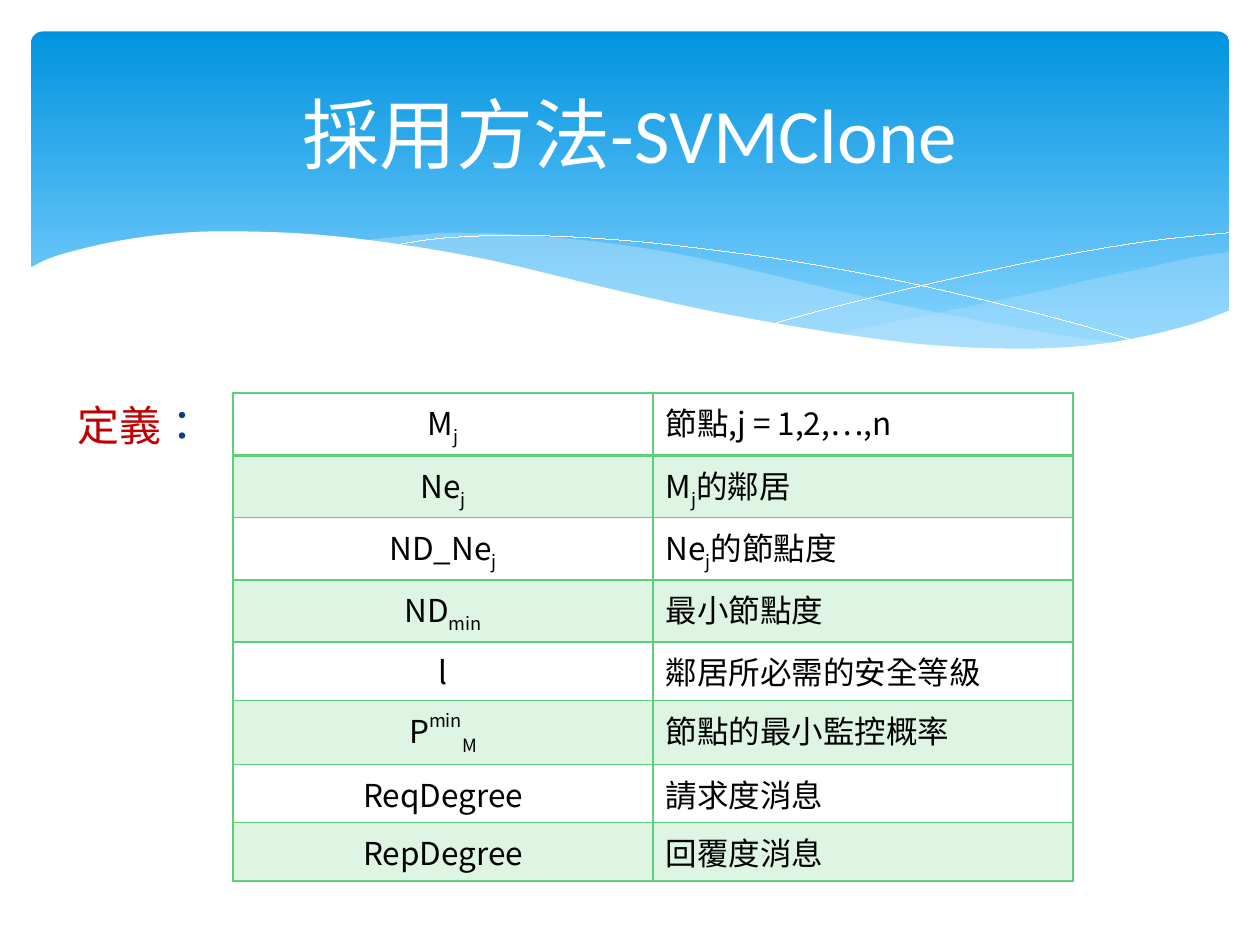
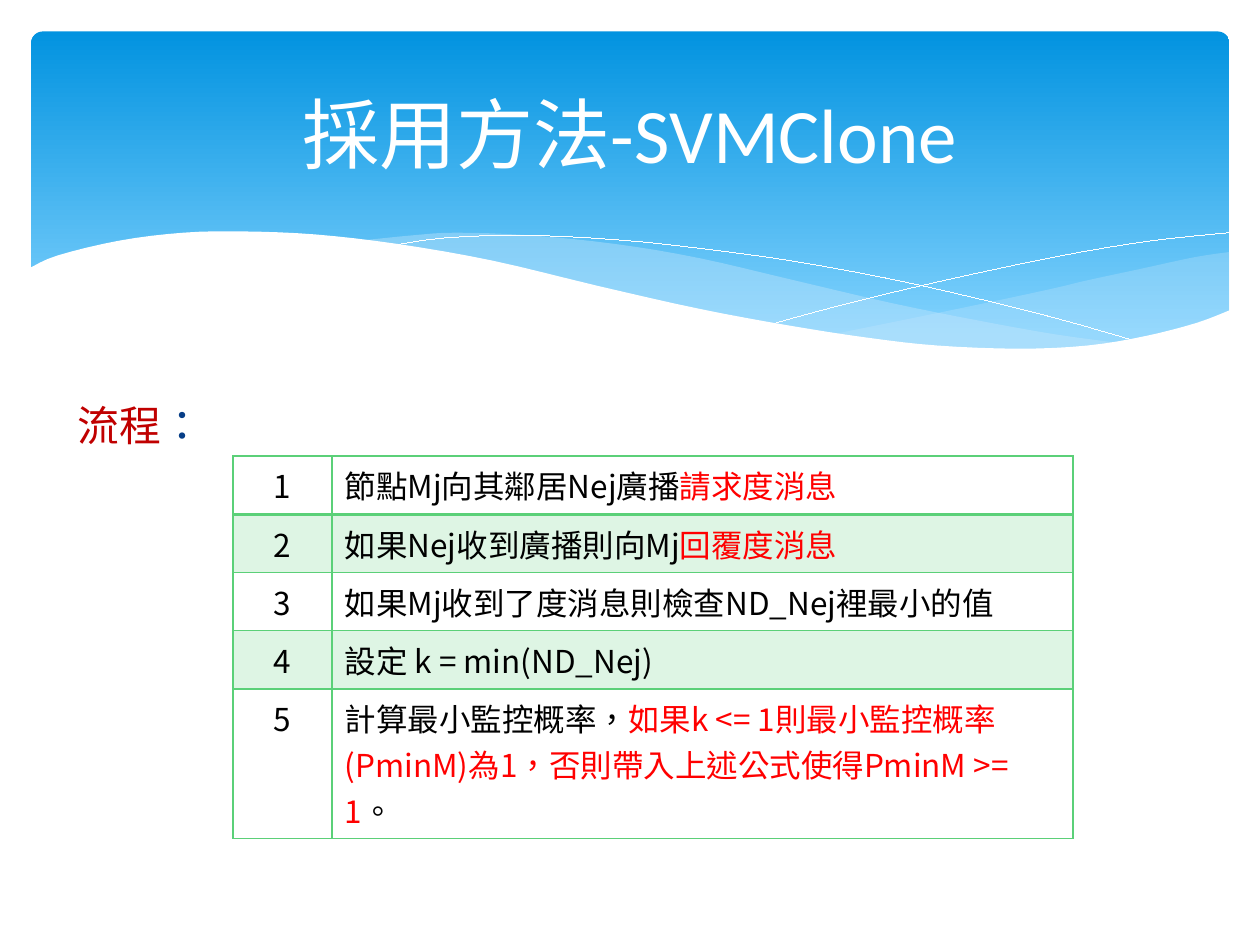
"""Build two slides on the SVMClone method: its definitions and its procedure."""
import lxml.etree
import pptx
import pptx.dml.color
import pptx.enum.shapes
import pptx.enum.text
import pptx.oxml
import pptx.oxml.ns
import pptx.util

Pt = pptx.util.Pt
RGBColor = pptx.dml.color.RGBColor
ALIGN = pptx.enum.text.PP_ALIGN
ANCHOR = pptx.enum.text.MSO_ANCHOR
qn = pptx.oxml.ns.qn

BAND_TOP = RGBColor(0x02, 0x93, 0xE0)
BAND_BOTTOM = RGBColor(0x83, 0xD3, 0xFE)
SWELL = RGBColor(0xC6, 0xE7, 0xFC)
WHITE = RGBColor(0xFF, 0xFF, 0xFF)
BLACK = RGBColor(0, 0, 0)
GREEN = RGBColor(0x5B, 0xD0, 0x78)
DARK_RED = RGBColor(0xC0, 0, 0)
RED = RGBColor(0xFF, 0, 0)
NAVY = RGBColor(0x07, 0x3E, 0x87)

LATIN_FONT = "Calibri"
CJK_FONT = "Noto Sans CJK SC"
TITLE = "採用方法-SVMClone"
TABLE_LEFT = 133.2
PLAIN_ROW = 33.3
SUBSCRIPT_ROW = 35.6
SUPERSCRIPT_ROW = 36.7
THREE_LINE_ROW = 85.3

RIGHT_SWELL_TOP = [(476, 191), (542.5, 177.5), (599, 165.5), (620, 160.5),
                   (652.5, 153.5), (682.5, 147), (702.5, 144)]
RIGHT_SWELL_BOTTOM = [(702.5, 178), (683.5, 185), (663, 191), (634, 196.5),
                      (601, 199.5), (562, 199.5), (527, 197.5), (476, 191)]
LONG_SWELL_TOP = [(206, 137.5), (236, 134.5), (260, 133), (302.5, 134.5),
                  (352, 139.5), (399.5, 147.5), (453, 160), (508.5, 173),
                  (558, 183), (602.5, 191), (643, 196.5)]
LONG_SWELL_BOTTOM = [(643, 196.5), (610, 199.5), (565, 200), (520, 197),
                     (468, 190), (420.5, 181), (353.5, 167), (307.5, 155.5),
                     (260.5, 146), (219, 139.5), (206, 137.5)]
FALLING_LINE = [(222.5, 140.5), (254, 136), (299.5, 134.5), (352, 137),
                (400.5, 142), (458, 150), (523.5, 162.5), (598.5, 180.5),
                (653, 196)]
RISING_LINE = [(441.5, 185), (484, 173.5), (538.5, 160.5), (602, 147),
               (655, 138), (702, 133)]
WHITE_WAVE = [(16.5, 153.5), (33, 146), (68.5, 137.5), (105, 133),
              (139, 132.3), (180, 134), (227.5, 139.5), (281.5, 149),
              (342, 163.5), (399.5, 176.5), (450.5, 186), (495.5, 193),
              (535.5, 197.5), (582.5, 199.3), (621.5, 197.5), (655, 192),
              (684, 184.5), (703.5, 177)]
WAVE_FOOT = [(703.5, 237), (16.5, 237)]


def span(text, color=BLACK, base=0):
    """Describe a stretch of text; base is its shift in percent."""
    return text, color, base


def sub(text):
    """Describe a subscript."""
    return span(text, base=-25)


DEFINITIONS = [
    ([span("M"), sub("j")], [span("節點,j = 1,2,…,n")]),
    ([span("Ne"), sub("j")], [span("M"), sub("j"), span("的鄰居")]),
    ([span("ND_Ne"), sub("j")], [span("Ne"), sub("j"), span("的節點度")]),
    ([span("ND"), sub("min")], [span("最小節點度")]),
    ([span("l")], [span("鄰居所必需的安全等級")]),
    ([span("P"), span("min", base=50), span("M", base=-30)],
     [span("節點的最小監控概率")]),
    ([span("ReqDegree")], [span("請求度消息")]),
    ([span("RepDegree")], [span("回覆度消息")]),
]
DEFINITION_HEIGHTS = [SUBSCRIPT_ROW] * 4 + [PLAIN_ROW, SUPERSCRIPT_ROW] + [PLAIN_ROW] * 2
STEPS = [
    [span("節點Mj向其鄰居Nej廣播"), span("請求度消息", RED)],
    [span("如果Nej收到廣播則向Mj"), span("回覆度消息", RED)],
    [span("如果Mj收到了度消息則檢查ND_Nej裡最小的值")],
    [span("設定 k = min(ND_Nej)")],
    [span("計算最小監控概率，"),
     span("如果k <= 1則最小監控概率(PminM)為1，否則帶入上述公式使得PminM >= 1", RED),
     span("。")],
]
STEP_HEIGHTS = [PLAIN_ROW] * 4 + [THREE_LINE_ROW]


def write(para, spans, size, font, align=ALIGN.LEFT):
    """Write spans into a paragraph."""
    para.alignment = align
    for text, color, base in spans:
        run = para.add_run()
        run.text = text
        run.font.size = Pt(size)
        run.font.name = font
        run.font.color.rgb = color
        properties = run.font._element
        properties.set("lang", "zh-TW")
        if base:
            properties.set("baseline", str(base * 1000))
        east_asian = lxml.etree.SubElement(properties, qn("a:ea"))
        east_asian.set("typeface", CJK_FONT)


def fill_solid(fill, color, holder, opacity=100):
    """Fill with a colour, see-through when opacity is below 100 percent."""
    fill.solid()
    fill.fore_color.rgb = color
    if opacity < 100:
        shade = holder.find(".//" + qn("a:solidFill") + "/" + qn("a:srgbClr"))
        alpha = lxml.etree.SubElement(shade, qn("a:alpha"))
        alpha.set("val", str(opacity * 1000))


def smooth(knots, steps=4):
    """Return points on a Catmull-Rom curve through the knots."""
    padded = [knots[0], *knots, knots[-1]]
    points = [knots[0]]
    for a, b, c, d in zip(padded, padded[1:], padded[2:], padded[3:]):
        for step in range(1, steps + 1):
            t = step / steps
            points.append(tuple(
                (2 * q + (r - p) * t + (2 * p - 5 * q + 4 * r - s) * t ** 2
                 + (3 * q - p - 3 * r + s) * t ** 3) / 2
                for p, q, r, s in zip(a, b, c, d)))
    return points


def add_outline(page, points, close):
    """Add a freeform through points and return it without a shadow."""
    units = [(round(x * 100), round(y * 100)) for x, y in points]
    builder = page.shapes.build_freeform(*units[0], scale=Pt(1) / 100)
    builder.add_line_segments(units[1:], close=close)
    outline = builder.convert_to_shape()
    outline.shadow.inherit = False
    return outline


def add_area(page, points, color, opacity=100):
    """Add a filled outline without a border."""
    area = add_outline(page, points, True)
    fill_solid(area.fill, color, area.element.spPr, opacity)
    area.line.fill.background()


def add_hairline(page, knots):
    """Add a thin white curve."""
    curve = add_outline(page, smooth(knots), False)
    curve.fill.background()
    curve.line.color.rgb = WHITE
    curve.line.width = Pt(0.01)


def add_band(page):
    """Add the blue header band with its waves."""
    band = page.shapes.add_shape(
        pptx.enum.shapes.MSO_SHAPE.ROUNDED_RECTANGLE,
        Pt(17.8), Pt(18), Pt(684.8), Pt(194.4))
    band.adjustments[0] = 0.034
    band.shadow.inherit = False
    band.line.fill.background()
    band.fill.gradient()
    band.fill.gradient_angle = 270
    stops = ((0, BAND_TOP), (0.9, BAND_BOTTOM))
    for stop, (position, color) in zip(band.fill.gradient_stops, stops):
        stop.position = position
        stop.color.rgb = color
    add_area(page, smooth(RIGHT_SWELL_TOP) + smooth(RIGHT_SWELL_BOTTOM), SWELL, 29)
    add_area(page, smooth(LONG_SWELL_TOP) + smooth(LONG_SWELL_BOTTOM), SWELL, 40)
    add_hairline(page, FALLING_LINE)
    add_hairline(page, RISING_LINE)
    add_area(page, smooth(WHITE_WAVE) + WAVE_FOOT, WHITE)


def add_page(deck, label):
    """Add a slide with band, title and section label."""
    page = deck.slides.add_slide(deck.slide_layouts[5])
    add_band(page)
    title = page.shapes.title
    title.left, title.top, title.width, title.height = Pt(36), Pt(26.6), Pt(648), Pt(98.6)
    title.text_frame.vertical_anchor = ANCHOR.MIDDLE
    write(title.text_frame.paragraphs[0], [span(TITLE, WHITE)], 44, LATIN_FONT, ALIGN.CENTER)
    title.element.getparent().append(title.element)
    box = page.shapes.add_textbox(Pt(37.1), Pt(224.6), Pt(94), Pt(40))
    box.text_frame.word_wrap = True
    para = box.text_frame.paragraphs[0]
    para.space_before = Pt(4.8)
    write(para, [span(label, DARK_RED), span("：", NAVY)], 24, LATIN_FONT)
    return page


def set_borders(cell, top, bottom):
    """Draw green cell borders; top and bottom are widths in points."""
    widths = {"a:lnL": 1, "a:lnR": 1, "a:lnT": top, "a:lnB": bottom}
    properties = cell._tc.get_or_add_tcPr()
    for index, (tag, width) in enumerate(widths.items()):
        edge = pptx.oxml.parse_xml(
            f'<{tag} {pptx.oxml.ns.nsdecls("a")} w="{Pt(width)}"><a:solidFill>'
            f'<a:srgbClr val="{GREEN}"/></a:solidFill></{tag}>')
        properties.insert(index, edge)


def add_grid(page, top, widths, heights, rows):
    """Add a two-column table with tinted alternate rows."""
    table = page.shapes.add_table(
        len(rows), len(widths), Pt(TABLE_LEFT), Pt(top),
        Pt(sum(widths)), Pt(sum(heights))).table
    table.first_row = table.horz_banding = False
    for column, width in zip(table.columns, widths):
        column.width = Pt(width)
    for number, (row, height, contents) in enumerate(zip(table.rows, heights, rows)):
        row.height = Pt(height)
        for cell, spans, align in zip(row.cells, contents, (ALIGN.CENTER, ALIGN.LEFT)):
            write(cell.text_frame.paragraphs[0], spans, 18, CJK_FONT, align)
            if number % 2:
                fill_solid(cell.fill, GREEN, cell._tc.tcPr, 20)
            else:
                cell.fill.background()
            set_borders(cell, 2 if number == 1 else 1, 2 if number == 0 else 1)


def main():
    """Build and save the deck."""
    deck = pptx.Presentation()
    deck.slide_width, deck.slide_height = Pt(720), Pt(540)
    definitions = add_page(deck, "定義")
    add_grid(definitions, 224.6, [240, 240], DEFINITION_HEIGHTS, DEFINITIONS)
    procedure = add_page(deck, "流程")
    steps = [([span(str(number))], step) for number, step in enumerate(STEPS, 1)]
    add_grid(procedure, 260.6, [56.6, 423.4], STEP_HEIGHTS, steps)
    deck.save("out.pptx")


if __name__ == "__main__":
    main()
